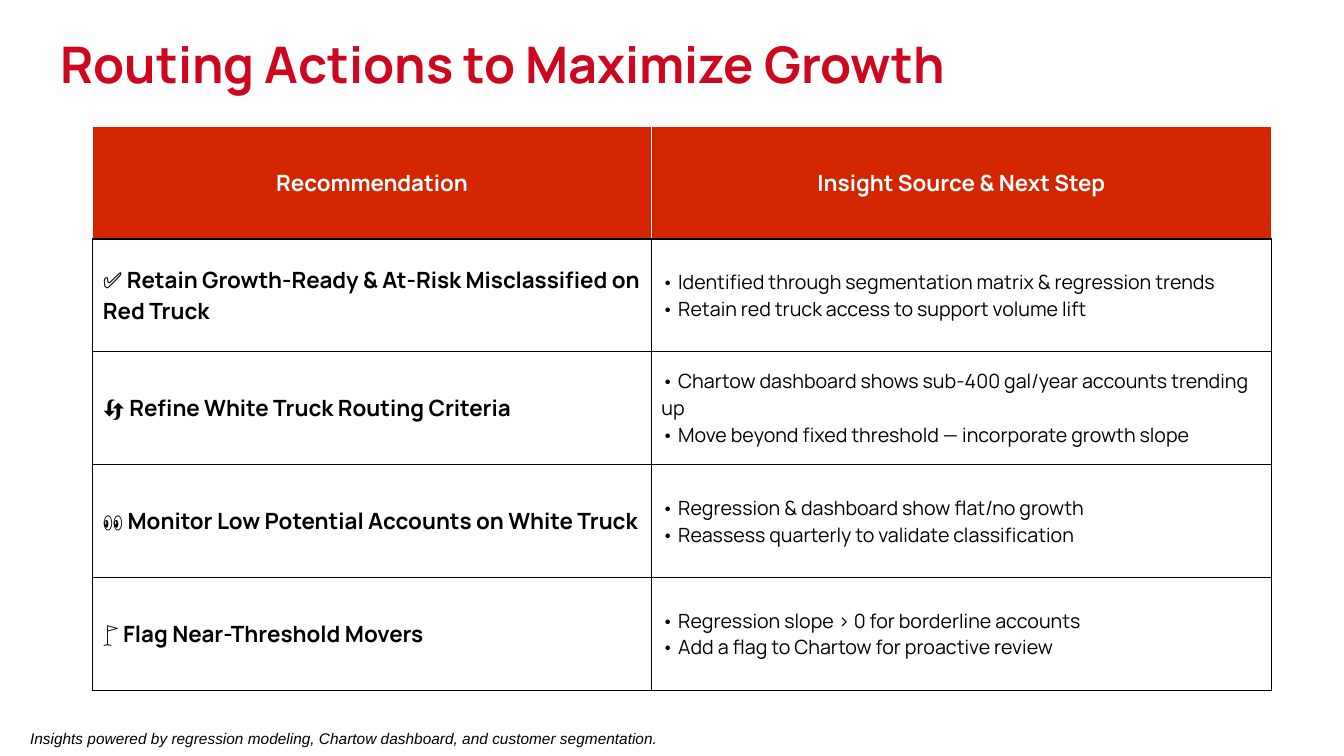
from lxml import etree
from pptx import Presentation
from pptx.dml.color import RGBColor
from pptx.enum.text import MSO_ANCHOR, PP_ALIGN
from pptx.oxml.ns import qn
from pptx.util import Emu, Pt

EMU_PER_PX = 9144
LEFT, CENTER = PP_ALIGN.LEFT, PP_ALIGN.CENTER
TOP, MIDDLE = MSO_ANCHOR.TOP, MSO_ANCHOR.MIDDLE

BLACK, WHITE = "000000", "FFFFFF"
TITLE_RED, HEADER_RED = "CD0720", "D32600"
HEADING_FONT, NOTE_FONT = "Manrope", "Arial"

HEADERS = ["Recommendation", "Insight Source & Next Step"]
ACTIONS = [
    ("✅ Retain Growth-Ready & At-Risk Misclassified on Red Truck",
     ["• Identified through segmentation matrix & regression trends",
      "• Retain red truck access to support volume lift"]),
    ("🔄 Refine White Truck Routing Criteria",
     ["• Chartow dashboard shows sub-400 gal/year accounts trending up",
      "• Move beyond fixed threshold — incorporate growth slope"]),
    ("👀 Monitor Low Potential Accounts on White Truck",
     ["• Regression & dashboard show flat/no growth",
      "• Reassess quarterly to validate classification"]),
    ("🚩 Flag Near-Threshold Movers",
     ["• Regression slope > 0 for borderline accounts",
      "• Add a flag to Chartow for proactive review"]),
]


def px(length):
    return Emu(length * EMU_PER_PX)


def color(hex_string):
    return RGBColor.from_string(hex_string)


class SlideBuilder:
    """Holds the slide and its style, and adds each kind of element."""

    def __init__(self, presentation, font_name):
        self.slide = presentation.slides.add_slide(presentation.slide_layouts[6])
        self.font_name = font_name

    def fill_frame(self, frame, lines, size, text_color=BLACK, bold=False, italic=False,
                   align=LEFT, spacing=1.0, font_name=None):
        for index, line in enumerate(lines):
            paragraph = frame.paragraphs[0] if index == 0 else frame.add_paragraph()
            paragraph.text = line
            paragraph.alignment = align
            paragraph.line_spacing = spacing
            font = paragraph.font
            font.name = font_name or self.font_name
            font.size = Pt(size)
            font.bold = bold
            font.italic = italic
            font.color.rgb = color(text_color)

    def text(self, box, line, size, inset_y, **style):
        frame = self.slide.shapes.add_textbox(*map(px, box)).text_frame
        frame.word_wrap = True
        frame.vertical_anchor = TOP
        frame.margin_left = frame.margin_right = px(10)
        frame.margin_top = frame.margin_bottom = px(inset_y)
        self.fill_frame(frame, [line], size, **style)

    def table(self, left, top, column_widths, row_height, row_count):
        shape = self.slide.shapes.add_table(
            row_count, len(column_widths), px(left), px(top),
            px(sum(column_widths)), px(row_height * row_count))
        table = shape.table
        for column, width in zip(table.columns, column_widths):
            column.width = px(width)
        return table

    def border(self, cell, side, line_color, width):
        properties = cell._tc.get_or_add_tcPr()
        line = etree.SubElement(properties, qn(f"a:ln{side}"), w=str(Pt(width)))
        fill = etree.SubElement(line, qn("a:solidFill"))
        etree.SubElement(fill, qn("a:srgbClr"), val=line_color)

    def cell(self, cell, lines, size, fill, borders, **style):
        for side, (line_color, width) in borders.items():
            self.border(cell, side, line_color, width)
        cell.fill.solid()
        cell.fill.fore_color.rgb = color(fill)
        cell.vertical_anchor = MIDDLE
        cell.margin_left = cell.margin_right = px(10)
        cell.margin_top = cell.margin_bottom = px(4)
        self.fill_frame(cell.text_frame, lines, size, **style)


def main():
    presentation = Presentation()
    presentation.slide_width = px(1333)
    presentation.slide_height = px(750)
    builder = SlideBuilder(presentation, HEADING_FONT)

    builder.text((50, 35, 1150, 73), "Routing Actions to Maximize Growth", 36, 5,
                 text_color=TITLE_RED, bold=True, spacing=0.9)
    builder.text((20, 711, 1023, 29),
                 "Insights powered by regression modeling, Chartow dashboard, "
                 "and customer segmentation.",
                 11, 10, italic=True, spacing=1.15, font_name=NOTE_FONT)

    table = builder.table(92, 125, [554, 615], 112, len(ACTIONS) + 1)
    header_rule = (BLACK, 1.5)
    header_borders = {**dict.fromkeys("LRT", (WHITE, 1)), "B": header_rule}
    body_borders = dict.fromkeys("LRTB", (BLACK, 1))
    for column, header in enumerate(HEADERS):
        builder.cell(table.cell(0, column), [header], 16, HEADER_RED, header_borders,
                     text_color=WHITE, bold=True, align=CENTER)
    for row, (action, insights) in enumerate(ACTIONS, start=1):
        borders = {**body_borders, "T": header_rule} if row == 1 else body_borders
        builder.cell(table.cell(row, 0), [action], 16, WHITE, borders, bold=True)
        builder.cell(table.cell(row, 1), insights, 14, WHITE, borders)

    presentation.save("out.pptx")


if __name__ == "__main__":
    main()
